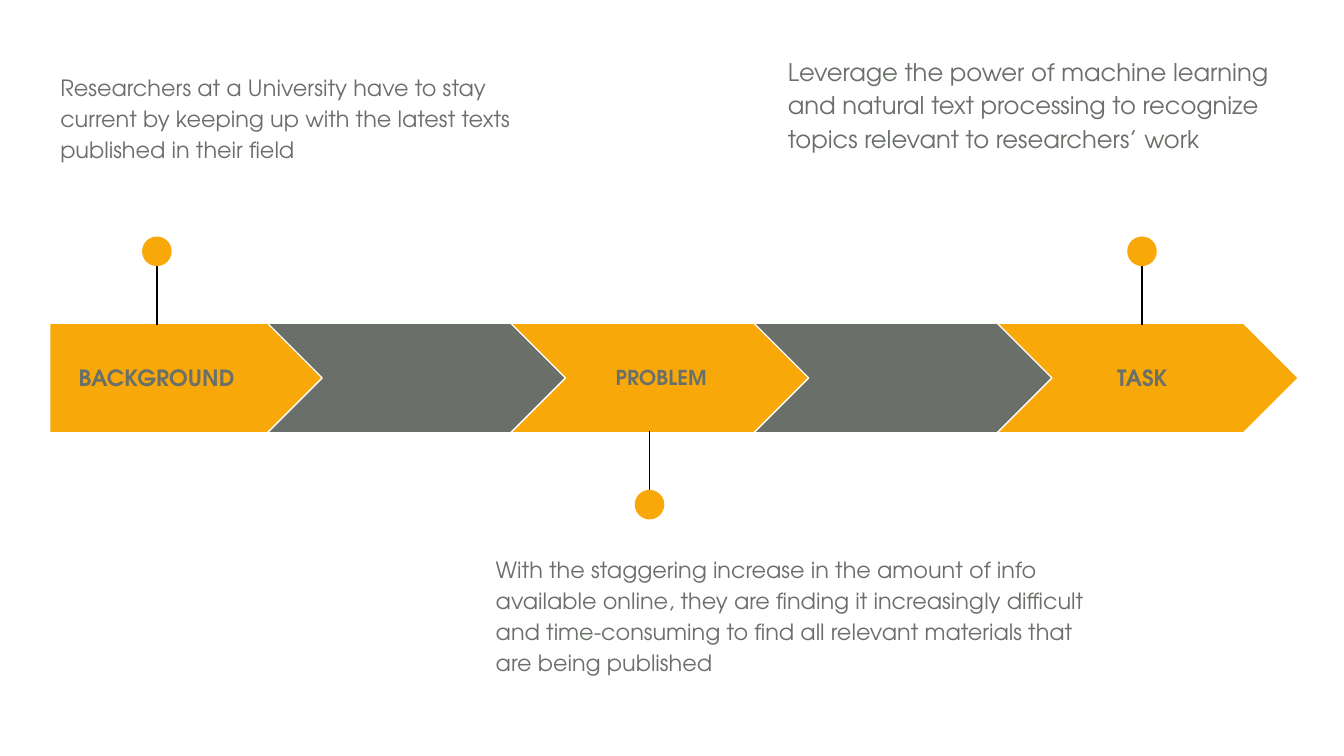
from dataclasses import dataclass

from pptx import Presentation
from pptx.dml.color import RGBColor
from pptx.enum.shapes import MSO_CONNECTOR, MSO_SHAPE
from pptx.enum.text import MSO_ANCHOR, PP_ALIGN
from pptx.oxml.ns import qn
from pptx.shapes.autoshape import Shape
from pptx.slide import Slide
from pptx.util import Inches, Length, Pt
from lxml import etree

PENTAGON, CHEVRON, OVAL = MSO_SHAPE.PENTAGON, MSO_SHAPE.CHEVRON, MSO_SHAPE.OVAL
STRAIGHT = MSO_CONNECTOR.STRAIGHT
TOP, MIDDLE = MSO_ANCHOR.TOP, MSO_ANCHOR.MIDDLE
LEFT, CENTER = PP_ALIGN.LEFT, PP_ALIGN.CENTER

SLIDE_WIDTH = Inches(10)
SLIDE_HEIGHT = SLIDE_WIDTH * 9 // 16
GRID_COLUMNS = 100

BAND_LEFT, BAND_TOP, BAND_HEIGHT = 1.8, 24.05, 8.15
STEP_PITCH, STEP_WIDTH = 18.1, 22.4
FIRST_STEP_TRIM = 1.9
STEP_COUNT = 5
LABEL_TOP, LABEL_HEIGHT = 25.55, 5.1
DOT_SIZE = 2.2
UPPER_DOT, LOWER_DOT = 18.7, 37.55
STEM_OVERLAP = 0.1


@dataclass(frozen=True)
class Theme:
    font: str = "TeX Gyre Adventor"
    accent: RGBColor = RGBColor(0xF8, 0xA9, 0x09)
    gray: RGBColor = RGBColor(0x6A, 0x70, 0x69)
    outline: RGBColor = RGBColor(0xFF, 0xFF, 0xFF)
    stem: RGBColor = RGBColor(0, 0, 0)
    line_width: Length = Pt(0.75)
    small: int = 11
    normal: int = 12
    large: int = 13


@dataclass(frozen=True)
class Area:
    column: float
    row: float
    columns: float
    rows: float


@dataclass(frozen=True)
class Stage:
    label: str
    label_column: float
    label_columns: float
    label_size: int
    pin_column: float
    dot_row: float
    text: str
    text_area: Area
    text_size: int


THEME = Theme()
STAGES = (
    Stage("BACKGROUND", 3.7, 15.9, THEME.normal, 11.67, UPPER_DOT,
          "Researchers at a University have to stay current by keeping up "
          "with the latest texts published in their field",
          Area(3.5, 4.2, 38.8, 9.9), THEME.normal),
    Stage("PROBLEM", 42, 14.4, THEME.small, 48.33, LOWER_DOT,
          "With the staggering increase in the amount of info available online, "
          "they are finding it increasingly difficult and time-consuming to find "
          "all relevant materials that are being published",
          Area(35.9, 40.1, 46.2, 9.9), THEME.normal),
    Stage("TASK", 77.8, 14.4, THEME.normal, 84.97, UPPER_DOT,
          "Leverage the power of machine learning and natural text processing "
          "to recognize topics relevant to researchers’ work",
          Area(57.64, 2.93, 40, 12.5), THEME.large),
)


def grid(units: float) -> Length:
    return Length(round(SLIDE_WIDTH * units / GRID_COLUMNS))


def box(area: Area) -> tuple[Length, ...]:
    return tuple(map(grid, (area.column, area.row, area.columns, area.rows)))


def add_shape(slide: Slide, kind: MSO_SHAPE, area: Area, fill: RGBColor) -> Shape:
    shape = slide.shapes.add_shape(kind, *box(area))
    shape.shadow.inherit = False
    shape.fill.solid()
    shape.fill.fore_color.rgb = fill
    shape.line.fill.background()
    return shape


def add_text(slide: Slide, text: str, area: Area, *, size: int, bold: bool = False,
             align: PP_ALIGN = LEFT, anchor: MSO_ANCHOR = TOP,
             spacing: float = 1.0) -> None:
    frame = slide.shapes.add_textbox(*box(area)).text_frame
    frame.word_wrap = True
    frame.vertical_anchor = anchor
    frame.margin_left = frame.margin_right = grid(1)
    frame.margin_top = frame.margin_bottom = grid(1)
    paragraph = frame.paragraphs[0]
    paragraph.text = text
    paragraph.alignment = align
    paragraph.line_spacing = spacing
    font = paragraph.runs[0].font
    font.name, font.size, font.bold = THEME.font, Pt(size), bold
    font.color.rgb = THEME.gray


def add_band(slide: Slide) -> None:
    for index in range(STEP_COUNT):
        trim = 0 if index else FIRST_STEP_TRIM
        area = Area(BAND_LEFT + index * STEP_PITCH + trim, BAND_TOP,
                    STEP_WIDTH - trim, BAND_HEIGHT)
        step = add_shape(slide, CHEVRON if index else PENTAGON, area,
                         THEME.gray if index % 2 else THEME.accent)
        step.adjustments[0] = 0.5
        step.line.color.rgb = THEME.outline
        step.line.width = THEME.line_width


def add_pin(slide: Slide, column: float, dot_row: float) -> None:
    if dot_row < BAND_TOP:
        stem_end = BAND_TOP + STEM_OVERLAP
    else:
        stem_end = BAND_TOP + BAND_HEIGHT - STEM_OVERLAP
    stem = slide.shapes.add_connector(STRAIGHT, grid(column), grid(dot_row),
                                      grid(column), grid(stem_end))
    stem.line.color.rgb = THEME.stem
    stem.line.width = THEME.line_width
    etree.SubElement(stem._element.spPr, qn("a:effectLst"))
    radius = DOT_SIZE / 2
    add_shape(slide, OVAL, Area(column - radius, dot_row - radius, DOT_SIZE, DOT_SIZE),
              THEME.accent)


def add_stage(slide: Slide, stage: Stage) -> None:
    label_area = Area(stage.label_column, LABEL_TOP, stage.label_columns, LABEL_HEIGHT)
    add_text(slide, stage.label, label_area, size=stage.label_size, bold=True,
             align=CENTER, anchor=MIDDLE)
    add_pin(slide, stage.pin_column, stage.dot_row)
    add_text(slide, stage.text, stage.text_area, size=stage.text_size, spacing=1.15)


def main() -> None:
    presentation = Presentation()
    presentation.slide_width, presentation.slide_height = SLIDE_WIDTH, SLIDE_HEIGHT
    slide = presentation.slides.add_slide(presentation.slide_layouts[6])
    add_band(slide)
    for stage in STAGES:
        add_stage(slide, stage)
    presentation.save("out.pptx")


if __name__ == "__main__":
    main()
